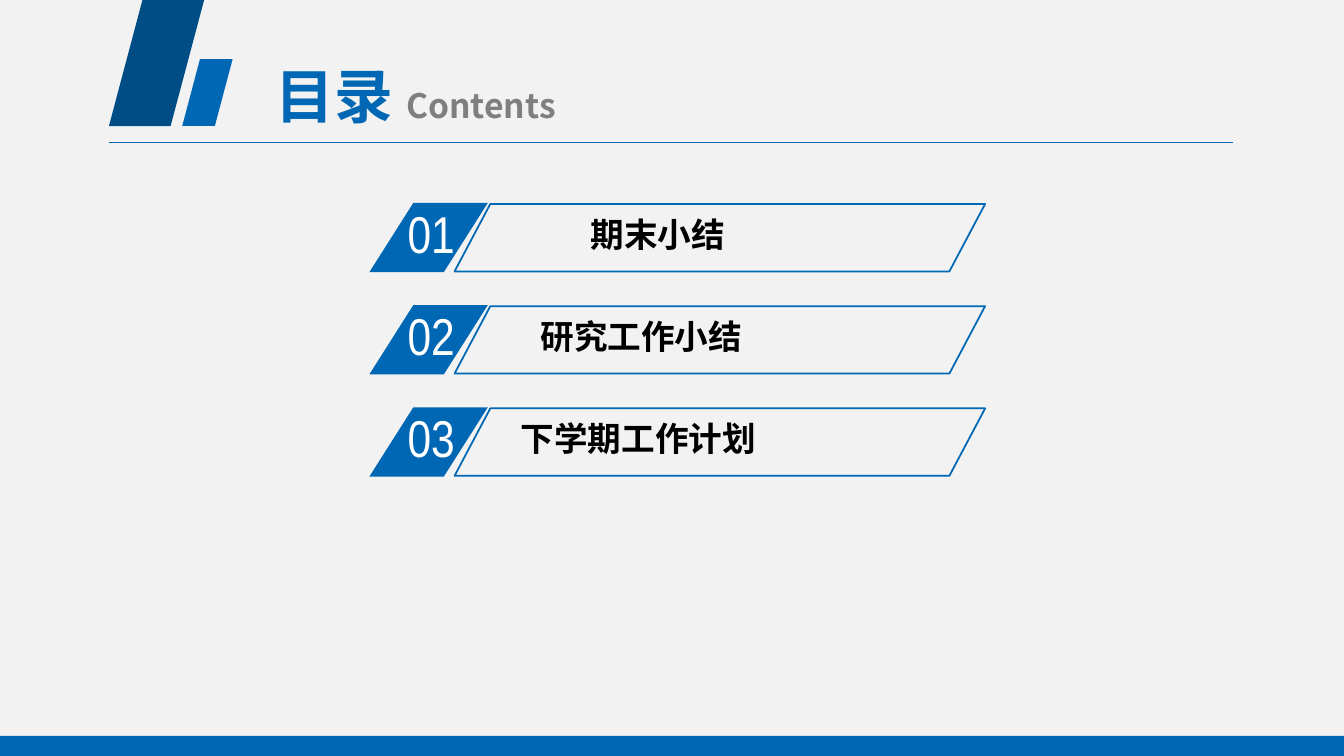
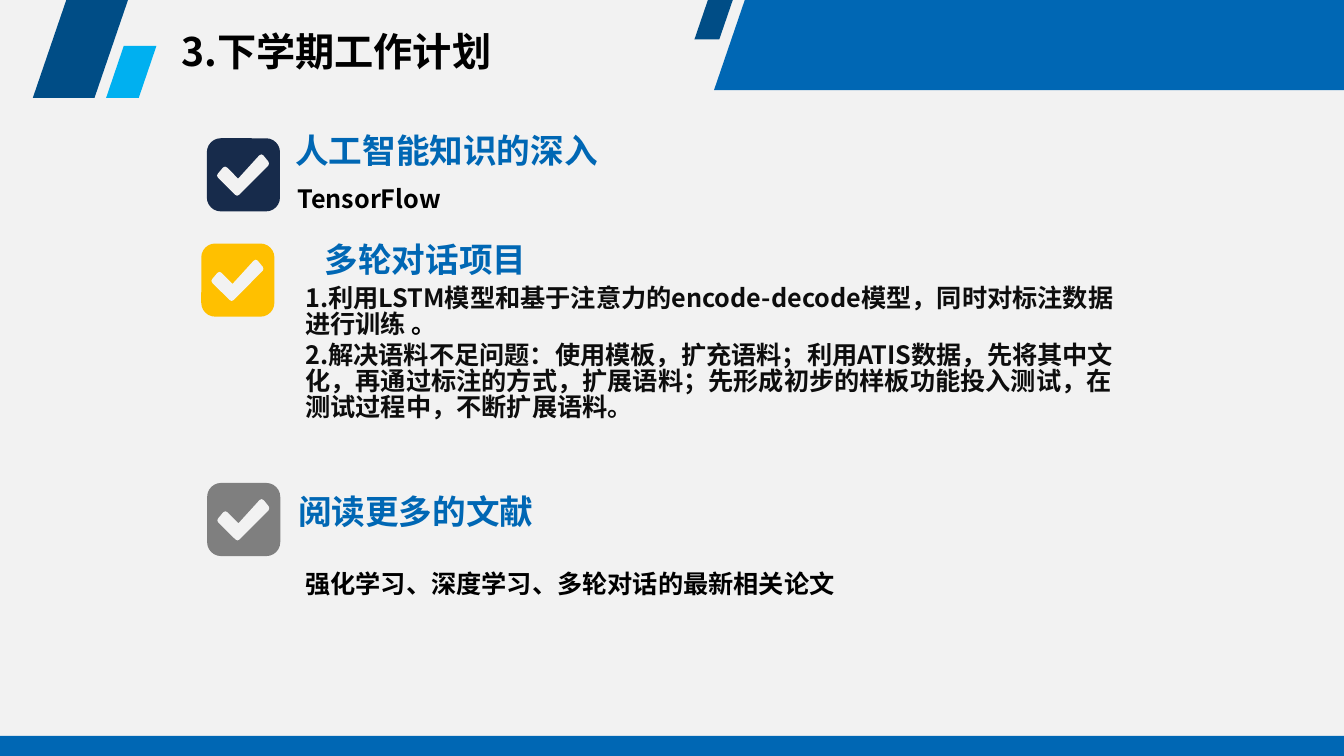
from lxml import etree
from pptx import Presentation
from pptx.dml.color import RGBColor
from pptx.enum.shapes import MSO_CONNECTOR, MSO_SHAPE
from pptx.enum.text import MSO_ANCHOR, PP_ALIGN
from pptx.oxml.ns import qn
from pptx.util import Pt

# Shared style
WIDTH, HEIGHT = 960, 540
BLUE = RGBColor(0x00, 0x67, 0xB4)
DARK_BLUE = RGBColor(0x00, 0x4D, 0x86)
CYAN = RGBColor(0x00, 0xB0, 0xF0)
NAVY = RGBColor(0x17, 0x2B, 0x4B)
GOLD = RGBColor(0xFF, 0xC0, 0x00)
GRAY = RGBColor(0x7F, 0x7F, 0x7F)
PALE = RGBColor(0xF2, 0xF2, 0xF2)
WHITE = RGBColor(0xFF, 0xFF, 0xFF)
BLACK = RGBColor(0x00, 0x00, 0x00)
INK = RGBColor(0x0D, 0x0D, 0x0D)
CJK = "Noto Sans CJK SC"
NARROW = "Arial Narrow"

# Tick outline, relative to the corner of its box
TICK = [(44.3, 18), (43.9, 16.6), (40.3, 12.2), (38.9, 11.5), (37.4, 12.2),
        (22.3, 28.8), (14.4, 20.9), (13, 20.2), (11.5, 20.9), (7.9, 25.2),
        (7.2, 26.6), (7.9, 28.1), (20.2, 40.3), (21.6, 41), (23, 40.3),
        (43.9, 19.4)]


def paint(sp, fill, line=None):
    sp.shadow.inherit = False
    sp.fill.solid()
    sp.fill.fore_color.rgb = fill
    if line is None:
        sp.line.fill.background()
    else:
        sp.line.color.rgb = line
        sp.line.width = Pt(1.25)


def add_box(slide, kind, x, y, w, h, fill, adj=None, line=None):
    sp = slide.shapes.add_shape(kind, Pt(x), Pt(y), Pt(w), Pt(h))
    if adj is not None:
        sp.adjustments[0] = adj
    paint(sp, fill, line)


def add_slant(slide, x, y, w, h, fill, adj=0.352, line=None):
    add_box(slide, MSO_SHAPE.PARALLELOGRAM, x, y, w, h, fill, adj, line)


def add_outline(slide, points, fill, x=0, y=0):
    corners = [(Pt(x + dx), Pt(y + dy)) for dx, dy in points]
    builder = slide.shapes.build_freeform(*corners[0])
    builder.add_line_segments(corners[1:], close=True)
    paint(builder.convert_to_shape(), fill)


def add_text(slide, x, y, w, h, paragraphs, size, font=CJK, bold=True,
             align=PP_ALIGN.LEFT, anchor=MSO_ANCHOR.TOP, spacing=None):
    """Each paragraph is a list of (text, colour) or (text, colour, size)."""
    tf = slide.shapes.add_textbox(Pt(x), Pt(y), Pt(w), Pt(h)).text_frame
    tf.word_wrap = True
    tf.vertical_anchor = anchor
    tf.margin_left = tf.margin_right = tf.margin_top = tf.margin_bottom = 0
    for i, runs in enumerate(paragraphs):
        p = tf.paragraphs[0] if i == 0 else tf.add_paragraph()
        p.alignment = align
        p.line_spacing = spacing
        if i:
            p.space_before = Pt(4)
        for text, color, *own_size in runs:
            r = p.add_run()
            r.text = text
            r.font.name = font
            r.font.size = Pt(own_size[0] if own_size else size)
            r.font.bold = bold
            r.font.color.rgb = color
            ea = etree.SubElement(r.font._element, qn("a:ea"))
            ea.set("typeface", font)


def add_rule(slide, x1, x2, y):
    line = slide.shapes.add_connector(MSO_CONNECTOR.STRAIGHT,
                                      Pt(x1), Pt(y), Pt(x2), Pt(y))
    line.line.color.rgb = BLUE
    line.line.width = Pt(0.75)
    etree.SubElement(line._element.spPr, qn("a:effectLst"))


def add_corner_mark(slide, x, bottom, small_h, small_fill):
    add_slant(slide, x, 0, 68, bottom, DARK_BLUE)
    add_slant(slide, x + 52.4, bottom - small_h, 36, small_h, small_fill)


def new_slide(prs):
    slide = prs.slides.add_slide(prs.slide_layouts[6])
    slide.background.fill.solid()
    slide.background.fill.fore_color.rgb = PALE
    add_box(slide, MSO_SHAPE.RECTANGLE, 0, 525.6, WIDTH, HEIGHT - 525.6, BLUE)
    return slide


def add_agenda_row(slide, y, number, label, center):
    add_slant(slide, 263.8, y, 84.6, 49.5, BLUE, 0.635)
    add_text(slide, 268, y - 1, 80, 45, [[(number, WHITE)]], 37,
             font=NARROW, bold=False, align=PP_ALIGN.CENTER)
    add_slant(slide, 324.7, y + 0.7, 379, 48.2, PALE, 0.53, BLUE)
    add_text(slide, center - 120, y + 7.6, 240, 36, [[(label, BLACK)]], 24,
             align=PP_ALIGN.CENTER)


def add_check(slide, x, y, fill):
    add_box(slide, MSO_SHAPE.ROUNDED_RECTANGLE, x, y, 52.2, 52.2, fill, 0.19)
    add_outline(slide, TICK, PALE, x, y)


def add_heading(slide, x, y, text):
    add_text(slide, x, y, 260, 29, [[(text, BLUE)]], 24, spacing=0.9)


def add_contents(prs):
    slide = new_slide(prs)
    add_corner_mark(slide, 77.8, 90, 47.8, BLUE)
    add_text(slide, 196.6, 42, 246, 52,
             [[("目录 ", BLUE), ("Contents", GRAY, 24)]], 42,
             anchor=MSO_ANCHOR.MIDDLE)
    add_rule(slide, 77.8, 880.6, 102)
    rows = [("期末小结", 470), ("研究工作小结", 458), ("下学期工作计划", 456)]
    for i, (label, center) in enumerate(rows):
        add_agenda_row(slide, 145 + 73 * i, f"{i + 1:02}", label, center)


def add_plan(prs):
    slide = new_slide(prs)
    # Header
    add_corner_mark(slide, 23.4, 70, 37.3, CYAN)
    add_text(slide, 129.6, 23, 365, 40, [[("3.下学期工作计划", BLACK)]], 28,
             spacing=0.9)
    add_slant(slide, 496, 0, 27.4, 28.2, DARK_BLUE)
    add_outline(slide, [(510, 64.4), (532, 0), (WIDTH, 0), (WIDTH, 64.4)],
                BLUE)
    # Deeper knowledge
    add_check(slide, 147.8, 98.8, NAVY)
    add_heading(slide, 211, 95.8, "人工智能知识的深入")
    add_text(slide, 212.4, 133.2, 450, 24, [[("TensorFlow", BLACK)]], 18,
             spacing=0.9)
    # Dialogue project
    add_check(slide, 143.8, 174, GOLD)
    add_heading(slide, 232, 174.2, "多轮对话项目")
    add_text(slide, 218, 205.2, 580, 120, [
        [("1.利用LSTM模型和基于注意力的encode-decode模型，"
          "同时对标注数据进行训练 ", INK), ("。", BLACK)],
        [("2.解决语料不足问题：使用模板，扩充语料；利用ATIS数据，"
          "先将其中文化，再通过标注的方式，扩展语料；"
          "先形成初步的样板功能投入测试，在测试过程中，不断扩展语料。", INK)],
    ], 18, spacing=0.85)
    # Reading
    add_check(slide, 148, 345, GRAY)
    add_heading(slide, 213, 354.2, "阅读更多的文献")
    add_text(slide, 218, 408.6, 450, 24,
             [[("强化学习、深度学习、多轮对话的最新相关论文", BLACK)]], 18,
             spacing=0.9)


def main():
    prs = Presentation()
    prs.slide_width, prs.slide_height = Pt(WIDTH), Pt(HEIGHT)
    add_contents(prs)
    add_plan(prs)
    prs.save("out.pptx")


if __name__ == "__main__":
    main()
